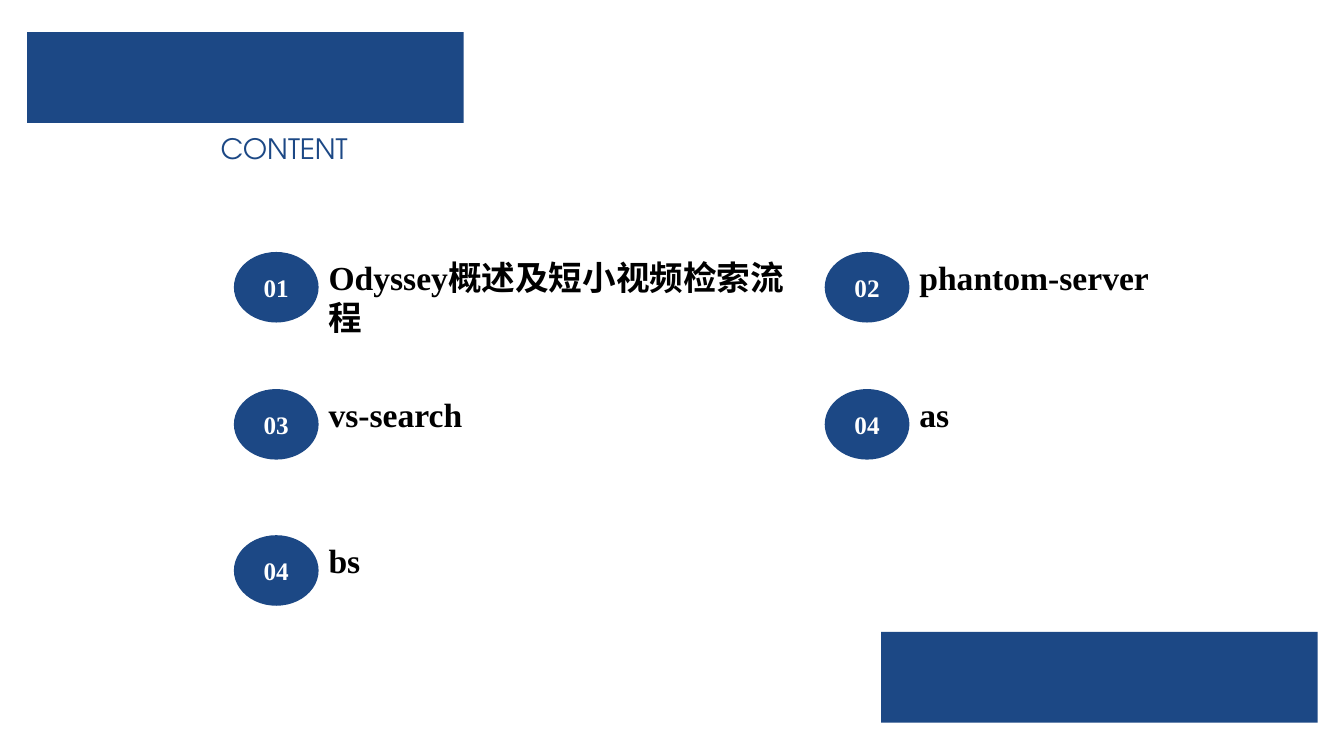
from pptx import Presentation
from pptx.dml.color import RGBColor
from pptx.enum.shapes import MSO_SHAPE
from pptx.enum.text import MSO_ANCHOR, MSO_AUTO_SIZE, PP_ALIGN
from pptx.util import Inches, Pt

BLUE = RGBColor(0x1C, 0x48, 0x85)
WHITE = RGBColor(0xFF, 0xFF, 0xFF)
BLACK = RGBColor(0, 0, 0)
RECT, OVAL = MSO_SHAPE.RECTANGLE, MSO_SHAPE.OVAL
LEFT, CENTER, JUSTIFY = PP_ALIGN.LEFT, PP_ALIGN.CENTER, PP_ALIGN.JUSTIFY
MIDDLE = MSO_ANCHOR.MIDDLE
GROW = MSO_AUTO_SIZE.SHAPE_TO_FIT_TEXT

COLS = (2.32, 8.18)
ROWS = (2.5, 3.86, 5.31)
# number, title, title width, title height, alignment; filled row by row
TOPICS = (
    ("01", "Odyssey概述及短小视频检索流程", 4.81, 1.31, LEFT),
    ("02", "phantom-server", 4.05, 0.91, JUSTIFY),
    ("03", "vs-search", 4.81, 0.5, LEFT),
    ("04", "as", 4.05, 0.5, LEFT),
    ("04", "bs", 4.05, 0.5, LEFT),
)


class Agenda:
    serif = "Times New Roman"
    sans = "TeX Gyre Adventor"

    def __init__(self, slide):
        self.slide = slide

    def add_text(self, frame, text, size, color, align, font=serif, bold=True):
        para = frame.paragraphs[0]
        para.alignment = align
        run = para.add_run()
        run.text = text
        run.font.name = font
        run.font.size = Pt(size)
        run.font.bold = bold
        run.font.color.rgb = color

    def block(self, kind, *box):
        """Add a plain blue shape without outline or shadow."""
        shape = self.slide.shapes.add_shape(kind, *map(Inches, box))
        shape.shadow.inherit = False
        shape.fill.solid()
        shape.fill.fore_color.rgb = BLUE
        shape.line.fill.background()
        return shape

    def badge(self, left, top, number):
        frame = self.block(OVAL, left, top, 0.84, 0.7).text_frame
        frame.vertical_anchor = MIDDLE
        self.add_text(frame, number, 18, WHITE, CENTER)

    def label(self, box, text, size, color, align, **style):
        shape = self.slide.shapes.add_textbox(*map(Inches, box))
        frame = shape.text_frame
        frame.word_wrap = True
        frame.auto_size = GROW
        self.add_text(frame, text, size, color, align, **style)


def main():
    deck = Presentation()
    deck.slide_width, deck.slide_height = Inches(13.33), Inches(7.5)
    page = Agenda(deck.slides.add_slide(deck.slide_layouts[6]))

    for left, top in ((8.74, 6.27), (0.27, 0.32)):
        page.block(RECT, left, top, 4.33, 0.9)
    page.label((2.09, 1.26, 2.54, 0.44), "CONTENT", 20, BLUE, JUSTIFY,
               font=page.sans, bold=False)

    for i, (number, title, width, height, align) in enumerate(TOPICS):
        row, col = divmod(i, len(COLS))
        left, top = COLS[col], ROWS[row]
        page.badge(left, top, number)
        page.label((left + 0.84, top, width, height), title, 24, BLACK, align)

    deck.save("out.pptx")


if __name__ == "__main__":
    main()
